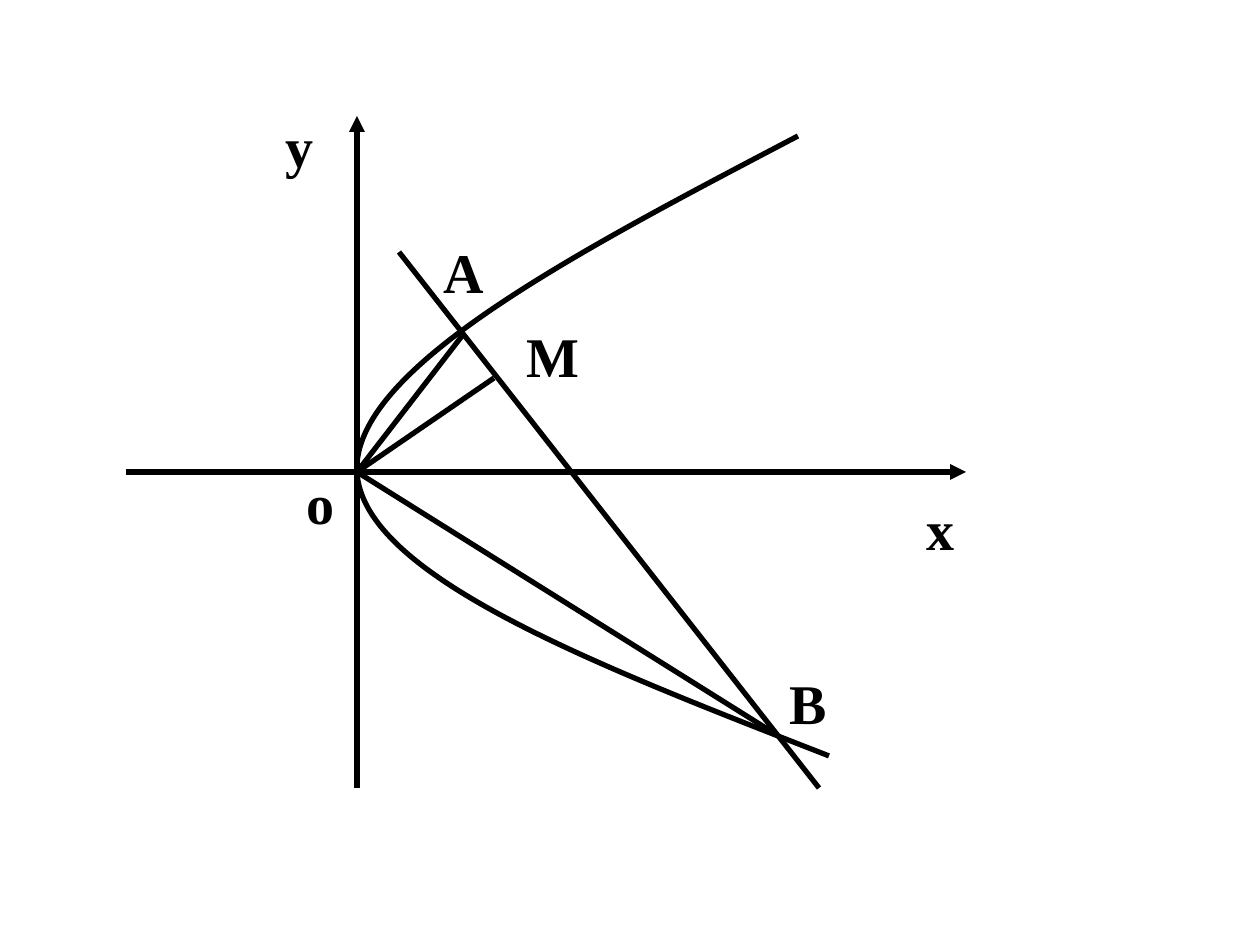
from lxml.etree import SubElement
from pptx import Presentation
from pptx.dml.color import RGBColor
from pptx.enum.shapes import MSO_CONNECTOR
from pptx.enum.text import MSO_AUTO_SIZE
from pptx.oxml.ns import qn
from pptx.util import Emu, Pt

EMU_PER_PX = 914400 / 126
BLACK = RGBColor(0, 0, 0)
FONT = "Times New Roman"
LABEL_HEIGHT = 81


def px(length):
    return Emu(round(length * EMU_PER_PX))


def style_line(line):
    line.color.rgb = BLACK
    line.width = Pt(3)


def add_segment(slide, start, end, arrow=False):
    segment = slide.shapes.add_connector(
        MSO_CONNECTOR.STRAIGHT, *map(px, start + end))
    style_line(segment.line)
    properties = segment.element.spPr
    if arrow:
        SubElement(properties.find(qn("a:ln")), qn("a:tailEnd"), type="triangle")
    SubElement(properties, qn("a:effectLst"))


def add_bezier(slide, points):
    """Draw a chain of cubic curves: a start, then three points per curve."""
    builder = slide.shapes.build_freeform(*points[0], scale=EMU_PER_PX)
    builder.add_line_segments(points[1:], close=False)
    curve = builder.convert_to_shape()
    curve.shadow.inherit = False
    curve.fill.background()
    style_line(curve.line)
    # Merge each three straight steps into one cubic step
    steps = list(curve.element.iter(qn("a:lnTo")))
    for first in range(0, len(steps), 3):
        cubic = SubElement(steps[first].getparent(), qn("a:cubicBezTo"))
        for step in steps[first:first + 3]:
            cubic.append(step[0])
            step.getparent().remove(step)


def add_label(slide, text, left, top, width):
    label = slide.shapes.add_textbox(
        px(left), px(top), px(width), px(LABEL_HEIGHT))
    frame = label.text_frame
    frame.word_wrap = True
    frame.auto_size = MSO_AUTO_SIZE.SHAPE_TO_FIT_TEXT
    run = frame.paragraphs[0].add_run()
    run.text = text
    run.font.name = FONT
    run.font.size = Pt(32)
    run.font.bold = True
    run.font.color.rgb = BLACK


def draw_parabola_figure(slide, left, top, width, height):
    def at(x, y):
        return left + x, top + y

    origin = at(231, 356)
    point_a, point_b, point_m = at(336, 220), at(651, 619), at(368, 262)

    # Axes
    add_segment(slide, at(0, 356), at(width, 356), arrow=True)
    add_segment(slide, at(231, height), at(231, 0), arrow=True)

    # Parabola
    add_bezier(slide, [
        at(672, 20),
        at(449, 137), at(226, 253), origin,
        at(237, 460), at(470, 549), at(703, 640),
    ])

    # Secant through A and B, then the segments from the origin
    add_segment(slide, at(273, 136), at(693, height))
    for point in (point_a, point_b, point_m):
        add_segment(slide, origin, point)

    # Labels
    for text, x, y, label_width in (
        ("x", 788, 372, 126),
        ("y", 147, -11, 116),
        ("o", 168, 346, 95),
        ("B", 651, 546, 63),
        ("A", 305, 115, 84),
        ("M", 388, 199, 95),
    ):
        add_label(slide, text, *at(x, y), label_width)


def main():
    presentation = Presentation()
    presentation.slide_width = px(1260)
    presentation.slide_height = px(945)
    slide = presentation.slides.add_slide(presentation.slide_layouts[6])
    draw_parabola_figure(slide, 126, 116, 840, 672)
    presentation.save("out.pptx")


if __name__ == "__main__":
    main()
